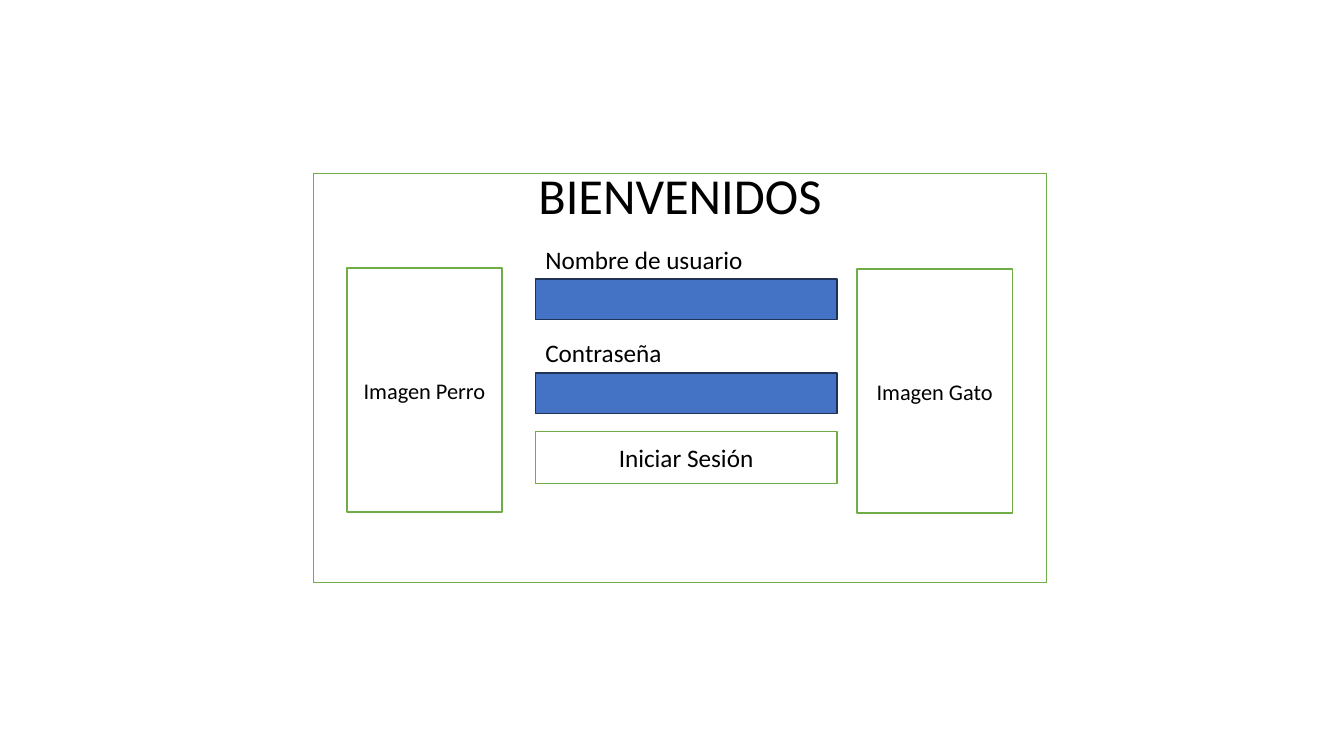
from pptx import Presentation
from pptx import util as u
from pptx.dml.color import RGBColor
from pptx.enum import shapes, text

PX = u.Inches(1) // 100  # 100 px to the inch

BLACK = RGBColor(0x00, 0x00, 0x00)
WHITE = RGBColor(0xFF, 0xFF, 0xFF)
GREEN = RGBColor(0x70, 0xAD, 0x47)
BLUE = RGBColor(0x44, 0x72, 0xC4)
NAVY = RGBColor(0x1E, 0x32, 0x56)


class LoginScreen:
    FONT = "Calibri"
    LINE_WIDTH = u.Pt(1)
    TITLE_ONLY = 5

    def __init__(self, presentation):
        layout = presentation.slide_layouts[self.TITLE_ONLY]
        self.slide = presentation.slides.add_slide(layout)

    def set_text(self, shape, words, size, align, frame_format):
        frame = shape.text_frame
        for name, value in frame_format.items():
            setattr(frame, name, value)
        paragraph = frame.paragraphs[0]
        paragraph.text = words
        paragraph_format = {"alignment": align, "line_spacing": 1.0,
                            "space_before": u.Pt(0)}
        for name, value in paragraph_format.items():
            setattr(paragraph, name, value)
        font = paragraph.runs[0].font
        for name, value in {"name": self.FONT, "size": u.Pt(size)}.items():
            setattr(font, name, value)
        font.color.rgb = BLACK

    def box(self, left, top, width, height, words="", size=18,
            fill=WHITE, line=GREEN):
        shape = self.slide.shapes.add_shape(
            shapes.MSO_SHAPE.RECTANGLE,
            *(length * PX for length in (left, top, width, height)))
        shape.shadow.inherit = False
        shape.fill.solid()
        shape.fill.fore_color.rgb = fill
        shape.line.color.rgb = line
        shape.line.width = self.LINE_WIDTH
        if words:
            self.set_text(shape, words, size, text.PP_ALIGN.CENTER,
                          {"vertical_anchor": text.MSO_ANCHOR.MIDDLE,
                           "word_wrap": True})

    def growing_text(self, shape, words, size, align):
        self.set_text(shape, words, size, align,
                      {"vertical_anchor": text.MSO_ANCHOR.TOP,
                       "word_wrap": True,
                       "auto_size": text.MSO_AUTO_SIZE.SHAPE_TO_FIT_TEXT})

    def label(self, left, top, width, height, words):
        shape = self.slide.shapes.add_textbox(
            *(length * PX for length in (left, top, width, height)))
        self.growing_text(shape, words, 18, text.PP_ALIGN.LEFT)

    def title(self, left, top, width, height, words):
        """Fill the title placeholder and bring it in front of the panel."""
        shape = self.slide.shapes.title
        place = {"left": left, "top": top, "width": width, "height": height}
        for name, value in place.items():
            setattr(shape, name, value * PX)
        self.growing_text(shape, words, 36, text.PP_ALIGN.CENTER)
        shape.element.getparent().append(shape.element)


def main():
    presentation = Presentation()
    presentation.slide_width = u.Inches(13.33)
    presentation.slide_height = u.Inches(7.5)
    screen = LoginScreen(presentation)

    panel_left, panel_width = 311, 727
    screen.box(panel_left, 172, panel_width, 406)
    screen.title(panel_left, 158, panel_width, 71, "BIENVENIDOS")

    form_left, form_width, row_height = 531, 299, 40
    for row, words in enumerate(("Nombre de usuario", "Contraseña")):
        top = 237 + row * 93
        screen.label(form_left, top, 218, row_height, words)
        screen.box(form_left, top + row_height, form_width, row_height,
                   fill=BLUE, line=NAVY)
    screen.box(form_left, 428, form_width, 52, "Iniciar Sesión")

    for left, top, words in ((344, 266, "Imagen Perro"),
                             (850, 267, "Imagen Gato")):
        screen.box(left, top, 154, 242, words, size=16)

    presentation.save("out.pptx")


if __name__ == "__main__":
    main()
